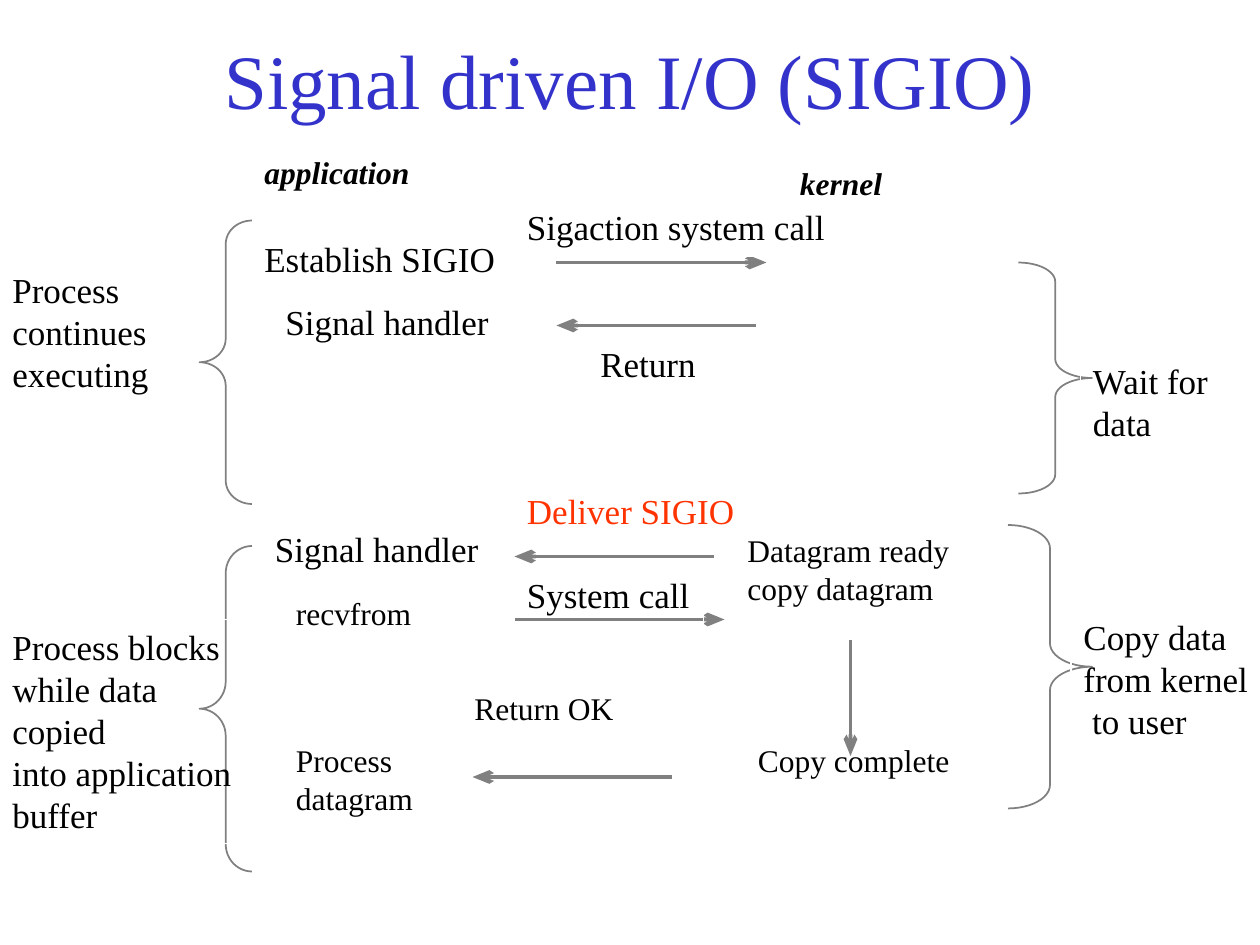
from lxml import etree
from pptx import Presentation
from pptx.dml.color import RGBColor
from pptx.enum import shapes, text
from pptx.oxml import ns
from pptx.util import Pt

BLACK = RGBColor(0x00, 0x00, 0x00)
WHITE = RGBColor(0xFF, 0xFF, 0xFF)
GRAY = RGBColor(0x80, 0x80, 0x80)
BLUE = RGBColor(0x33, 0x33, 0xCC)
RED = RGBColor(0xFF, 0x33, 0x00)


def add_text(s, lines, x, y, w, h, size=20, color=BLACK, bold=False,
             italic=False, title=False, outline=1):
    sp = s.shapes.add_textbox(Pt(x), Pt(y), Pt(w), Pt(h))
    tf = sp.text_frame
    tf.word_wrap = title
    if title:
        tf.vertical_anchor = text.MSO_ANCHOR.MIDDLE
    else:
        tf.auto_size = text.MSO_AUTO_SIZE.SHAPE_TO_FIT_TEXT
        sp.line.color.rgb = WHITE
        sp.line.width = Pt(outline)
    for i, line in enumerate(lines):
        p = tf.paragraphs[0] if i == 0 else tf.add_paragraph()
        p.alignment = text.PP_ALIGN.CENTER if title else text.PP_ALIGN.LEFT
        r = p.add_run()
        r.text = line
        r.font.name = "Times New Roman"
        r.font.size = Pt(size)
        r.font.bold = bold
        r.font.italic = italic
        r.font.color.rgb = color


prs = Presentation()
prs.slide_width, prs.slide_height = Pt(720), Pt(540)
s = prs.slides.add_slide(prs.slide_layouts[6])

# Title
add_text(s, ["Signal driven I/O (SIGIO)"], 54, 18, 612, 54,
         size=44, color=BLUE, title=True)

# Small labels: steps of the datagram copy, behind braces and arrows
for lines, x, y, w, h in [
    (["recvfrom"], 162, 336, 103.5, 36.5),
    (["Process", "datagram"], 162, 420, 104.5, 65.5),
    (["Return OK"], 264, 390, 121.5, 36.5),
    (["Datagram ready", "copy datagram"], 420, 300, 169, 65.5),
    (["Copy complete"], 426, 420, 161.5, 36.5),
]:
    add_text(s, lines, x, y, w, h, size=18)

# Braces marking the phases
LEFT, RIGHT = shapes.MSO_SHAPE.LEFT_BRACE, shapes.MSO_SHAPE.RIGHT_BRACE
for kind, x, y, w, h, curve in [
    (LEFT, 114, 126, 30, 162, 0.45),
    (LEFT, 114, 312, 30, 186, 0.52),
    (RIGHT, 582, 150, 42, 132, 0.26),
    (RIGHT, 576, 300, 48, 162, 0.28),
]:
    sp = s.shapes.add_shape(kind, Pt(x), Pt(y), Pt(w), Pt(h))
    sp.adjustments[0] = curve
    sp.shadow.inherit = False
    sp.fill.background()
    sp.line.color.rgb = GRAY
    sp.line.width = Pt(1)

# Calls and returns between application and kernel, then the kernel's copy
for x1, y1, x2, y2 in [
    (318, 150, 438, 150),
    (432, 186, 318, 186),
    (408, 318, 294, 318),
    (294, 354, 414, 354),
    (384, 444, 270, 444),
    (486, 366, 486, 432),
]:
    c = s.shapes.add_connector(shapes.MSO_CONNECTOR.STRAIGHT,
                               Pt(x1), Pt(y1), Pt(x2), Pt(y2))
    c.line.color.rgb = GRAY
    c.line.width = Pt(2.25)
    etree.SubElement(c.line._get_or_add_ln(), ns.qn("a:tailEnd"),
                     type="arrow", len="lg")
    etree.SubElement(c._element.spPr, ns.qn("a:effectLst"))

# Column headings
add_text(s, ["application"], 144, 84, 126, 36.5, size=18, bold=True, italic=True)
add_text(s, ["kernel"], 450, 90, 78.5, 36.5, size=18, bold=True, italic=True)

# Large labels: phases, handlers and calls
for lines, x, y, w, h in [
    (["Establish SIGIO"], 144, 132, 147, 32.5),
    (["Signal handler"], 156, 168, 131, 32.5),
    (["Signal handler"], 150, 298, 131, 32.5),
    (["Sigaction system call"], 294, 114, 185, 32.5),
    (["Return"], 336, 192, 75, 32.5),
    (["System call"], 294, 324, 108, 32.5),
    (["Process", "continues", "executing"], 0, 150, 97, 80),
    (["Process blocks", "while data", "copied", "into application", "buffer"],
     0, 354, 140.5, 128),
    (["Wait for", "data"], 617.5, 202, 88, 56),
    (["Copy data", "from kernel", " to user"], 612, 348, 109.5, 80),
]:
    add_text(s, lines, x, y, w, h)
add_text(s, ["Deliver SIGIO"], 294, 276, 140, 31, color=RED, outline=0)

prs.save("out.pptx")
